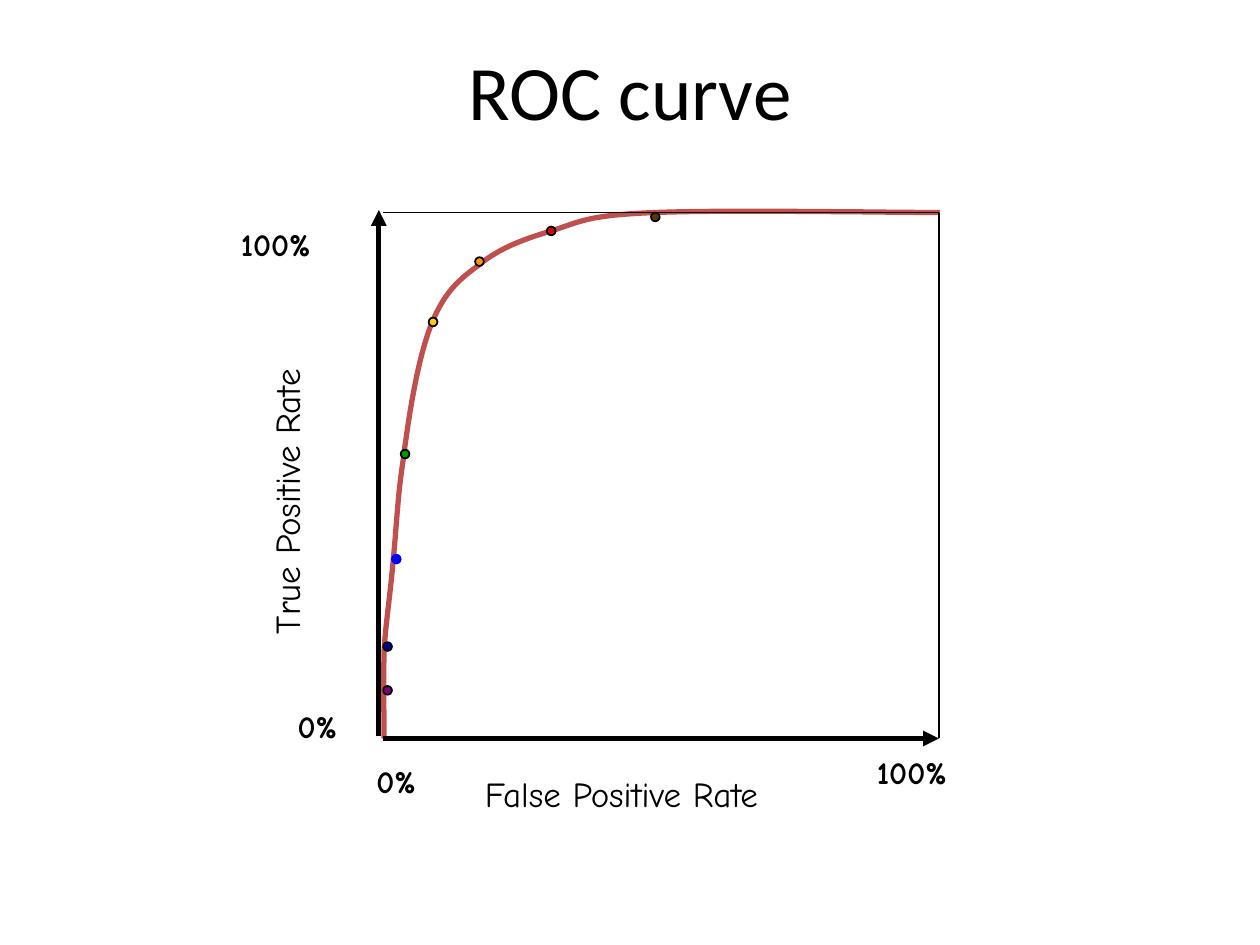
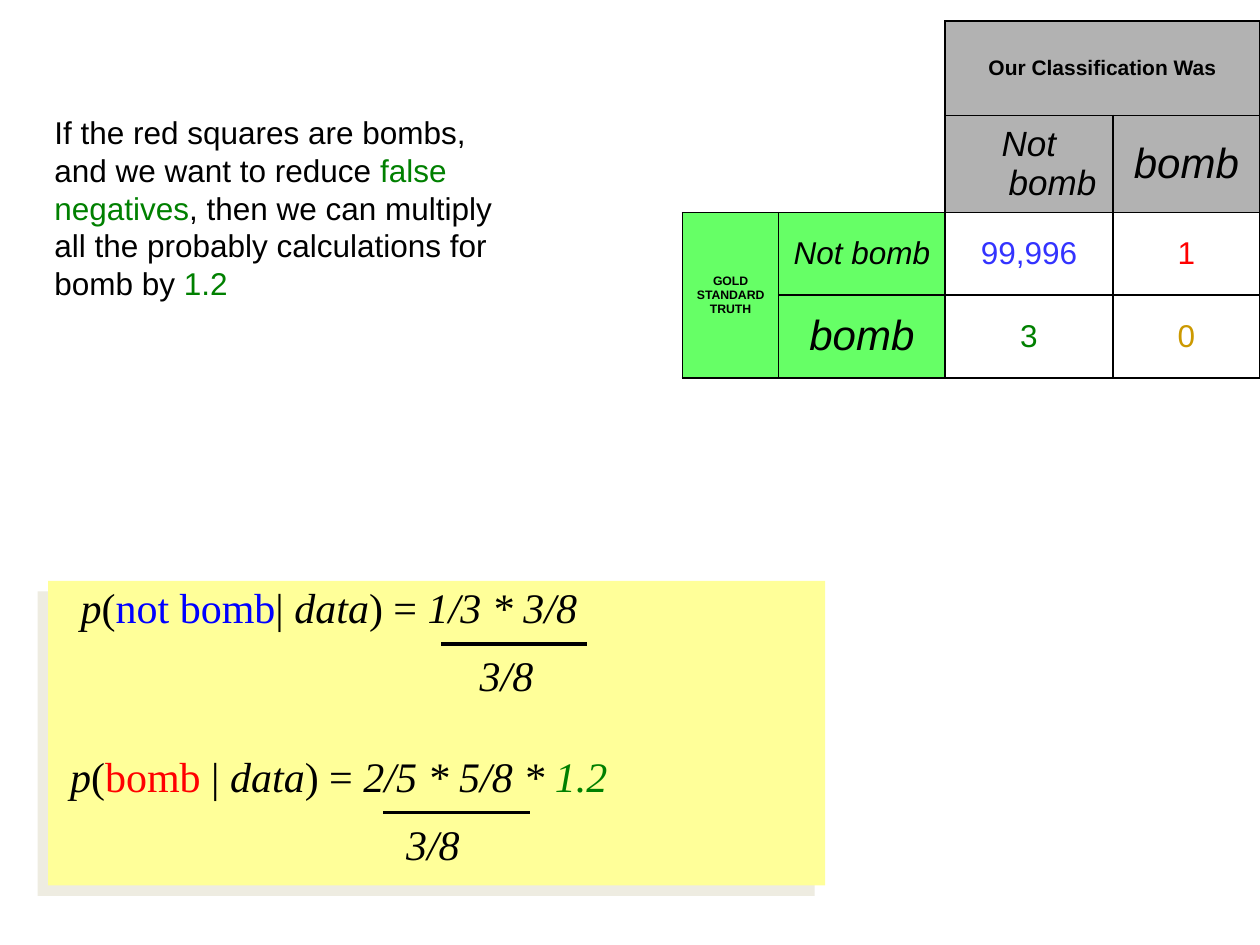
import pptx
import pptx.dml.color
import pptx.enum.shapes
import pptx.enum.text
import pptx.oxml.ns
import pptx.util
from lxml import etree

Pt = pptx.util.Pt
rgb = pptx.dml.color.RGBColor.from_string
qn = pptx.oxml.ns.qn
SHAPE = pptx.enum.shapes.MSO_SHAPE
CENTER = pptx.enum.text.PP_ALIGN.CENTER
MIDDLE = pptx.enum.text.MSO_ANCHOR.MIDDLE
BLACK, WHITE, GREEN, RED, BLUE = "000000", "FFFFFF", "008000", "FF0000", "0000FF"


def add_text(slide, box, lines, font_name, size, bold=None):
    """Each line is a list of runs: (text, colour, italic)."""
    textbox = slide.shapes.add_textbox(*[Pt(v) for v in box])
    frame = textbox.text_frame
    frame.word_wrap = True
    for index, runs in enumerate(lines):
        paragraph = frame.add_paragraph() if index else frame.paragraphs[0]
        paragraph.font.name = font_name
        paragraph.font.size = Pt(size)
        paragraph.font.bold = bold
        for text, colour, italic in runs:
            run = paragraph.add_run()
            run.text = text
            run.font.color.rgb = rgb(colour)
            run.font.italic = italic
    return textbox


def add_line(shapes, ends, width, arrow=False):
    line = shapes.add_connector(pptx.enum.shapes.MSO_CONNECTOR.STRAIGHT, *[Pt(v) for v in ends])
    line.line.color.rgb = rgb(BLACK)
    line.line.width = Pt(width)
    properties = line._element.spPr
    if arrow:
        etree.SubElement(properties.find(qn("a:ln")), qn("a:tailEnd"), type="triangle")
    etree.SubElement(properties, qn("a:effectLst"))


deck = pptx.Presentation()
deck.slide_width, deck.slide_height = Pt(720), Pt(540)

# Slide 1: ROC curve
roc = deck.slides.add_slide(deck.slide_layouts[5])
title = roc.shapes.title
title.left, title.top, title.width, title.height = Pt(54), Pt(24), Pt(612), Pt(54)
title.text_frame.margin_top = title.text_frame.margin_bottom = 0
title.text_frame.vertical_anchor = MIDDLE
title.text_frame.text = "ROC curve"
heading = title.text_frame.paragraphs[0]
heading.alignment = CENTER
heading.font.name = "Calibri"
heading.font.size = Pt(44)
heading.font.color.rgb = rgb(BLACK)

# Curve: cubic segments, each two control points and an end point
curve_start = (537, 121.5)
curve_segments = [
    [(474, 121), (410, 120), (373, 121.5)],
    [(336, 123), (332, 126.5), (315, 132)],
    [(298, 137), (284, 142.5), (273, 152)],
    [(261, 160.5), (253, 168.5), (246, 186.5)],
    [(239, 205), (234, 234), (230.5, 262)],
    [(227, 284.5), (226.5, 303), (224.5, 322)],
    [(223, 340), (220.5, 355), (219.5, 371.5)],
    [(219, 389), (219.5, 413), (219.5, 422)],
]
STEPS = 12
curve_points = []
start = curve_start
for control_1, control_2, end in curve_segments:
    for step in range(1, STEPS + 1):
        t = step / STEPS
        curve_points.append([
            Pt((1 - t) ** 3 * a + 3 * t * (1 - t) ** 2 * b + 3 * t ** 2 * (1 - t) * c + t ** 3 * d)
            for a, b, c, d in zip(start, control_1, control_2, end)])
    start = end
builder = roc.shapes.build_freeform(*[Pt(v) for v in curve_start])
builder.add_line_segments(curve_points, close=False)
curve = builder.convert_to_shape()
curve.shadow.inherit = False
curve.fill.background()
curve.line.color.rgb = rgb("C0504D")
curve.line.width = Pt(3)

# Plot frame and axes
frame_group = roc.shapes.add_group_shape()
add_line(frame_group.shapes, (219, 121.5, 536.5, 121.5), 1)
add_line(frame_group.shapes, (536.5, 121.5, 536.5, 422), 1)
add_line(roc.shapes, (216.5, 420.5, 216.5, 120), 3, arrow=True)
add_line(roc.shapes, (219, 422, 536.5, 422), 3, arrow=True)

# Axis names and end values
for label, box, size, bold, rotation in [
    ("True Positive Rate", (53.5, 244, 220, 31), 20, None, 270),
    ("False Positive Rate", (270, 438, 204, 31), 20, None, 0),
    ("0%", (163, 400.5, 56, 29), 18, True, 0),
    ("100%", (130.5, 125, 68, 29), 18, True, 0),
    ("0%", (208, 432, 61, 29), 18, True, 0),
    ("100%", (494, 427, 96, 29), 18, True, 0),
]:
    axis_label = add_text(roc, box, [[(label, BLACK, None)]], "Comic Neue", size, bold)
    axis_label.rotation = rotation

# Thresholds on the curve
for left, top, colour, outline in [
    (372, 121.5, "663300", BLACK), (312.5, 129.5, "D80000", BLACK),
    (271.5, 147, "FF9900", BLACK), (245, 181.5, "FFCC00", BLACK),
    (229, 257, "009900", BLACK), (224, 317, BLUE, BLUE),
    (219, 367, "000099", BLACK), (219, 392, "800080", BLACK),
]:
    threshold = roc.shapes.add_shape(SHAPE.OVAL, Pt(left), Pt(top), Pt(5), Pt(5))
    threshold.shadow.inherit = False
    threshold.fill.solid()
    threshold.fill.fore_color.rgb = rgb(colour)
    threshold.line.color.rgb = rgb(outline)
    threshold.line.width = Pt(1)

# Slide 2: weighting the bomb class
bombs = deck.slides.add_slide(deck.slide_layouts[6])

# Confusion matrix
column_widths = [55, 95, 96, 84]
row_heights = [54, 55.5, 47, 47.5]
matrix = bombs.shapes.add_table(4, 4, Pt(390), Pt(12), Pt(sum(column_widths)),
                                Pt(sum(row_heights))).table
matrix.first_row = matrix.horz_banding = False
for column, width in zip(matrix.columns, column_widths):
    column.width = Pt(width)
for row, height in zip(matrix.rows, row_heights):
    row.height = Pt(height)
for first, last in [((0, 0), (1, 1)), ((0, 2), (0, 3)), ((2, 0), (3, 0))]:
    matrix.cell(*first).merge(matrix.cell(*last))

# (row, column): text, size, colour, bold, italic
entries = {
    (0, 2): ("Our Classification Was", 12, BLACK, True, False),
    (1, 2): ("Not bomb", 20, BLACK, False, True),
    (1, 3): ("bomb", 24, BLACK, False, True),
    (2, 0): ("GOLD\nSTANDARD\nTRUTH", 7, BLACK, True, False),
    (2, 1): ("Not bomb", 18, BLACK, False, True),
    (2, 2): ("99,996", 18, "3333FF", False, False),
    (2, 3): ("1", 18, RED, False, False),
    (3, 1): ("bomb", 24, BLACK, False, True),
    (3, 2): ("3", 18, GREEN, False, False),
    (3, 3): ("0", 18, "CC9900", False, False),
}
for r in range(4):
    for c in range(4):
        cell = matrix.cell(r, c)
        cell.vertical_anchor = MIDDLE
        is_corner = r < 2 and c < 2
        if is_corner:
            cell.fill.background()
        else:
            cell.fill.solid()
            cell.fill.fore_color.rgb = rgb("B2B2B2" if r < 2 else "66FF66" if c < 2 else WHITE)
        # Borders come before the fill in the cell properties
        properties = cell._tc.get_or_add_tcPr()
        for position, side in enumerate("LRTB"):
            border = etree.Element(qn("a:ln" + side), w=str(Pt(1)))
            if is_corner and side in "LT":
                etree.SubElement(border, qn("a:noFill"))
            else:
                ink = etree.SubElement(border, qn("a:solidFill"))
                etree.SubElement(ink, qn("a:srgbClr"), val=BLACK)
            properties.insert(position, border)
        if (r, c) not in entries:
            continue
        text, size, colour, bold, italic = entries[r, c]
        cell.text = text
        for paragraph in cell.text_frame.paragraphs:
            paragraph.alignment = CENTER
            paragraph.font.name = "Arial"
            paragraph.font.size = Pt(size)
            paragraph.font.bold = bold
            paragraph.font.italic = italic
            paragraph.font.color.rgb = rgb(colour)
            hanging = paragraph._p.get_or_add_pPr()
            hanging.set("marL", str(Pt(27)))
            hanging.set("indent", str(Pt(-27)))

# Explanation
add_text(bombs, (24, 61, 283, 115), [[
    ("If the red squares are bombs, and we want to reduce ", BLACK, None),
    ("false negatives", GREEN, None),
    (", then we can multiply all the probably calculations for bomb by ", BLACK, None),
    ("1.2", GREEN, None),
]], "Arial", 18)

# Formula panel with its offset shadow
panel = bombs.shapes.add_shape(SHAPE.RECTANGLE, Pt(27.5), Pt(332), Pt(444), Pt(174))
panel.fill.solid()
panel.fill.fore_color.rgb = rgb("FFFF99")
panel.line.fill.background()
panel.shadow.inherit = False
shadow = etree.SubElement(panel._element.spPr.find(qn("a:effectLst")), qn("a:outerShdw"),
                          dist=str(Pt(8.5)), dir=str(135 * 60000), algn="ctr", rotWithShape="0")
etree.SubElement(shadow, qn("a:srgbClr"), val="EEECE1")

# Formulas: class, colour, numerator, weight, box, denominator indent, fraction bar
for name, colour, numerator, weight, box, indent, bar in [
    ("not bomb", BLUE, "1/3 * 3/8", "", (39, 332, 331, 73.5), 228, (252, 368, 335.5, 368)),
    ("bomb ", RED, "2/5 * 5/8 * ", "1.2", (33, 428.5, 374, 73.5), 192, (219, 464.5, 303, 464.5)),
]:
    formula_runs = [("p", BLACK, True), ("(", BLACK, False), (name, colour, False),
                    ("| ", BLACK, False), ("data", BLACK, True), (") = ", BLACK, False),
                    (numerator, BLACK, True)]
    if weight:
        formula_runs.append((weight, GREEN, True))
    formula = add_text(bombs, box, [formula_runs, [("3/8", BLACK, True)]], "Times New Roman", 24)
    for paragraph in formula.text_frame.paragraphs:
        paragraph.line_spacing = 0.9
    denominator = formula.text_frame.paragraphs[1]
    denominator.space_before = Pt(13)
    denominator._p.get_or_add_pPr().set("marL", str(Pt(indent)))
    add_line(bombs.shapes, bar, 1.75)

deck.save("out.pptx")
